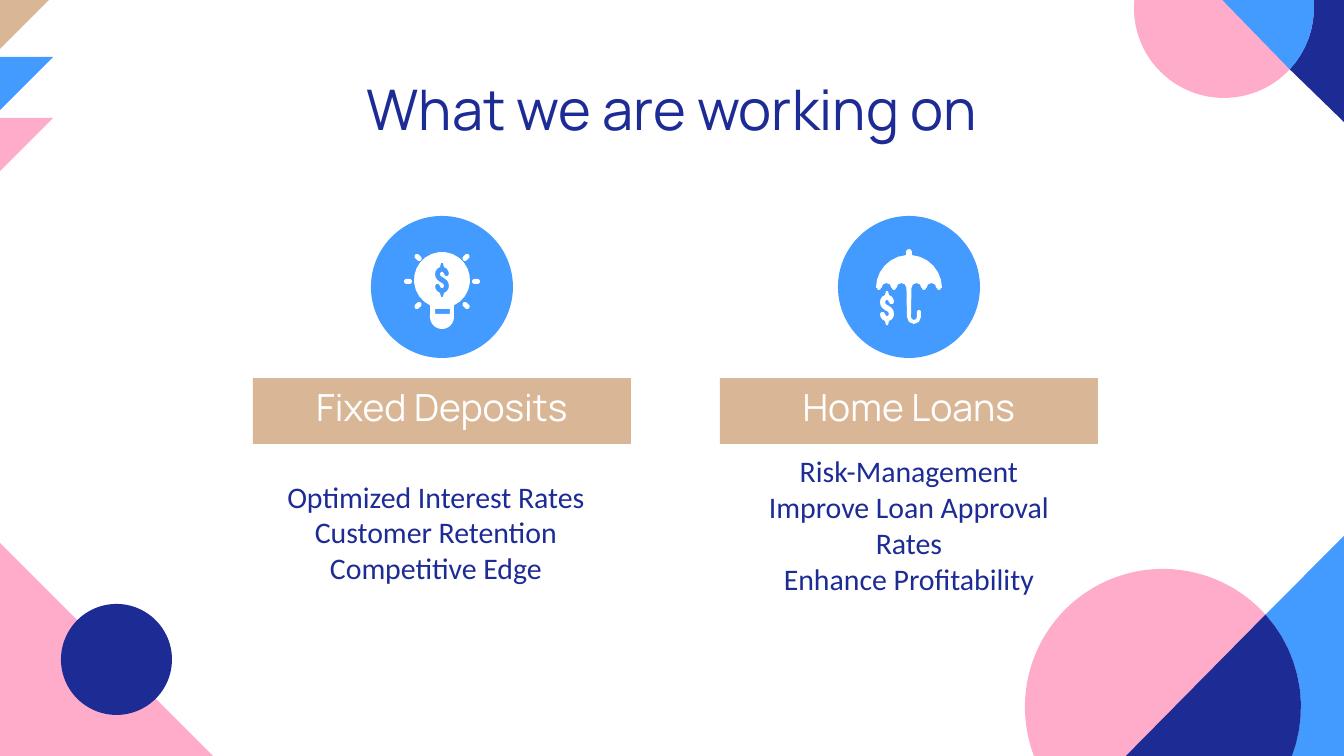
import math

from pptx import Presentation
from pptx import util as u
from pptx.dml.color import RGBColor
from pptx.enum import shapes, text

PX = 914400 / 134.4
NAVY = RGBColor(0x1D, 0x2B, 0x95)
BLUE = RGBColor(0x44, 0x9B, 0xFF)
PINK = RGBColor(0xFF, 0xAC, 0xCA)
TAN = RGBColor(0xD9, 0xB6, 0x95)
WHITE = RGBColor(0xFF, 0xFF, 0xFF)
ELLIPSE = shapes.MSO_SHAPE.OVAL
RECT = shapes.MSO_SHAPE.RECTANGLE
ROUNDED = shapes.MSO_SHAPE.ROUNDED_RECTANGLE


def px(n):
    return u.Emu(round(n * PX))


def paint(sp, color):
    sp.shadow.inherit = False
    sp.fill.solid()
    sp.fill.fore_color.rgb = color
    sp.line.fill.background()


def preset(s, kind, x, y, w, h, color):
    sp = s.shapes.add_shape(kind, px(x), px(y), px(w), px(h))
    paint(sp, color)
    return sp


def outline(s, color, *contours):
    """Fill one shape made of closed contours; inner ones become holes."""
    builder = None
    for contour in contours:
        pts = [(px(x), px(y)) for x, y in contour]
        if builder is None:
            builder = s.shapes.build_freeform(*pts[0], scale=1.0)
        else:
            builder.move_to(*pts[0])
        builder.add_line_segments(pts[1:], close=True)
    paint(builder.convert_to_shape(), color)


def arc(cx, cy, r, start, end):
    """Points on a circle, in degrees clockwise from the right."""
    step = 6 if r > 50 else 15 if r > 10 else 45
    n = max(2, math.ceil(abs(end - start) / step))
    angles = [math.radians(start + (end - start) * i / n) for i in range(n + 1)]
    return [(cx + r * math.cos(a), cy + r * math.sin(a)) for a in angles]


def bezier(p0, p1, p2, p3, n=3):
    """Points on a cubic curve, leaving out its start."""
    def at(t):
        return tuple((1 - t) ** 3 * a + 3 * (1 - t) ** 2 * t * b
                     + 3 * (1 - t) * t ** 2 * c + t ** 3 * d
                     for a, b, c, d in zip(p0, p1, p2, p3))
    return [at(i / n) for i in range(1, n + 1)]


def dollar(cx, cy):
    """Contour of a dollar sign: one half, then the same half turned about."""
    curves = [
        ((5, -12), (7, -9), (7, -6)),
        ((7, -3), (2, -3), (2, -6)),
        ((2, -9), (-2, -9), (-2, -6)),
        ((-2, -4), (0, -3), (2, -2)),
        ((5, 0), (7, 2), (7, 6)),
        ((7, 9), (5, 12), (2, 13)),
        ((2, 19), (-2, 19), (-2, 13)),
    ]
    half, start = [], (2, -13)
    for c1, c2, end in curves:
        half += bezier(start, c1, c2, end)
        start = end
    return [(cx + k * x, cy + k * y) for k in (1, -1) for x, y in half]


def crossed_circle(s, cx, cy, r, start, end, tip, outer, inner_color, outer_color):
    """Pink circle whose right part is cut by a corner triangle."""
    cut = arc(cx, cy, r, start, end)
    preset(s, ELLIPSE, cx - r, cy - r, 2 * r, 2 * r, PINK)
    outline(s, outer_color, cut + outer)
    outline(s, inner_color, [tip] + cut)


def corner_triangle(s, x, y, size, color, down=1):
    outline(s, color, [(x, y), (x + size, y), (x, y + down * size)])


def bulb_icon(s, cx, cy):
    body = arc(cx, cy, 28, 115, 425) + arc(cx, cy + 37, 12, 0, 180)
    slot = [(cx + x, cy + y) for x, y in ((-7, 29), (8, 29), (8, 34), (-7, 34))]
    outline(s, WHITE, body, slot, dollar(cx, cy))
    rays = [(-34, 1, 0), (34, 1, 0), (-24, -23, 45), (24, -23, -45),
            (-24, 25, -45), (24, 25, 45)]
    for dx, dy, angle in rays:
        ray = preset(s, ROUNDED, cx + dx - 4, cy + dy - 2, 8, 5, WHITE)
        ray.adjustments[0] = 0.5
        ray.rotation = angle


def umbrella_icon(s, cx, cy):
    """Dome with scalloped rim and hooked handle; cy is the rim's height."""
    foot = cy + 29
    handle = (arc(cx + 5, foot, 3, 180, 0) + arc(cx + 10, foot - 5, 2, 180, 360)
              + arc(cx + 5, foot, 7, 0, 180))
    pts = (arc(cx, cy, 33, 180, 265) + arc(cx, cy - 36, 3, 180, 360)
           + arc(cx, cy, 33, 275, 360))
    for i in (2, 1, 0, -1, -2):
        pts += arc(cx + 15 * i, cy, 2, 0, 180) if i else handle
        if i > -2:
            pts += arc(cx + 15 * i - 7.5, cy, 5, 360, 180)
    outline(s, WHITE, pts)
    outline(s, WHITE, dollar(cx - 22, cy + 20))


def write(sp, lines, size, font, color, spacing=None):
    tf = sp.text_frame
    tf.word_wrap = True
    tf.vertical_anchor = text.MSO_ANCHOR.MIDDLE
    tf.margin_left = tf.margin_right = u.Inches(0.1)
    tf.margin_top = tf.margin_bottom = u.Inches(0.1)
    for i, line in enumerate(lines):
        p = tf.add_paragraph() if i else tf.paragraphs[0]
        p.text = line
        p.alignment = text.PP_ALIGN.CENTER
        p.font.size, p.font.name = u.Pt(size), font
        p.font.color.rgb = color
        if spacing:
            p.line_spacing = spacing


def text_box(s, x, y, w, h, lines, size, font):
    sp = s.shapes.add_textbox(px(x), px(y), px(w), px(h))
    write(sp, lines, size, font, NAVY)


def decorate(s):
    for i, color in enumerate((TAN, BLUE, PINK)):
        corner_triangle(s, -8, -4 + 61 * i, 61, color)
    crossed_circle(s, 1224, 8, 90, -21, 43, (1199, -24),
                   [(1344, 122), (1344, -24)], BLUE, NAVY)
    corner_triangle(s, -3, 759, 219, PINK, down=-1)
    preset(s, ELLIPSE, 61, 604, 111, 111, NAVY)
    crossed_circle(s, 1163, 707, 138, -42, 21, (1124, 758),
                   [(1348, 758), (1348, 532)], NAVY, BLUE)


def topic(s, x, heading, icon, icon_y):
    width, disc = 378, 142
    preset(s, ELLIPSE, x + (width - disc) / 2, 216, disc, disc, BLUE)
    banner = preset(s, RECT, x, 378, width, 66, TAN)
    write(banner, [heading], 20, "Manrope", WHITE, spacing=0.8)
    icon(s, x + width // 2, icon_y)


def main():
    prs = Presentation()
    prs.slide_width, prs.slide_height = px(1344), px(756)
    s = prs.slides.add_slide(prs.slide_layouts[6])
    decorate(s)
    text_box(s, 105, 66, 1134, 85, ["What we are working on"], 30, "Manrope")
    topic(s, 253, "Fixed Deposits", bulb_icon, 280)
    topic(s, 720, "Home Loans", umbrella_icon, 288)
    text_box(s, 247, 465, 378, 134,
             ["Optimized Interest Rates\vCustomer Retention\vCompetitive Edge"],
             16, "Calibri")
    text_box(s, 720, 449, 378, 151,
             ["Risk-Management", "Improve Loan Approval Rates",
              "Enhance Profitability"], 16, "Calibri")
    prs.save("out.pptx")


if __name__ == "__main__":
    main()
